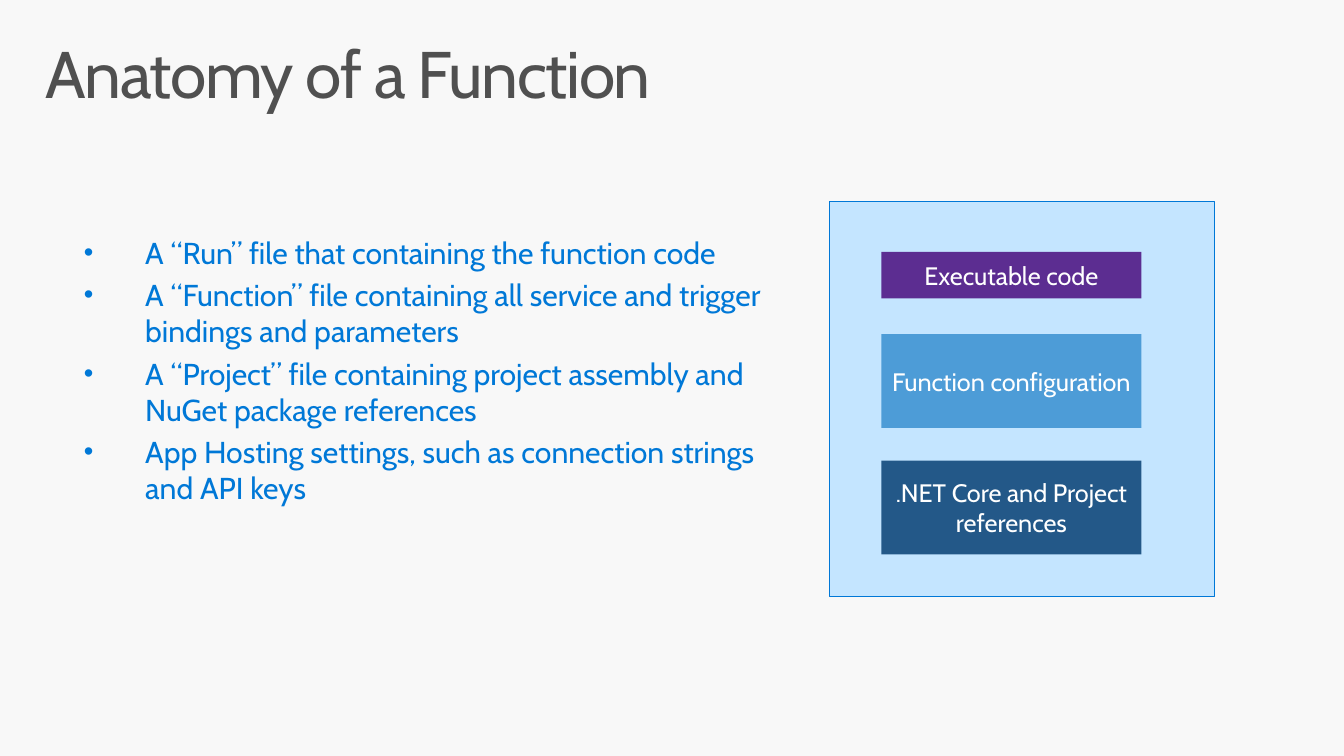
import pptx
import pptx.dml.color
import pptx.enum.shapes
import pptx.enum.text
import pptx.oxml.ns
import pptx.util
from lxml import etree

Inches = pptx.util.Inches
Pt = pptx.util.Pt
Align = pptx.enum.text.PP_ALIGN
Anchor = pptx.enum.text.MSO_ANCHOR


def color(hex_string):
    return pptx.dml.color.RGBColor.from_string(hex_string)


def add_bullet(paragraph, indent, hanging, size_percent):
    properties = paragraph._p.get_or_add_pPr()
    properties.set("marL", str(Inches(indent)))
    properties.set("indent", str(-Inches(hanging)))
    for tag, name, value in (("a:buSzPct", "val", str(size_percent * 1000)),
                             ("a:buChar", "char", "•")):
        element = etree.SubElement(properties, pptx.oxml.ns.qn(tag))
        element.set(name, value)


def write(paragraph, text, *, font, size, fill, align=Align.LEFT,
          line_spacing=1.0, space_before=0, tracking=None, bullet=None):
    if bullet:
        add_bullet(paragraph, *bullet)
    paragraph.alignment = align
    paragraph.line_spacing = line_spacing
    paragraph.space_before = Pt(space_before)
    run = paragraph.add_run()
    run.text = text
    run.font.name = font
    run.font.size = Pt(size)
    run.font.color.rgb = color(fill)
    if tracking is not None:
        run._r.get_or_add_rPr().set("spc", str(int(tracking * 100)))


class SlideBuilder:
    font = "Cabin"
    title_color = "505050"
    accent = "0078D7"
    box_text = "FFFFFF"

    def __init__(self, slide, background):
        self.slide = slide
        slide.background.fill.solid()
        slide.background.fill.fore_color.rgb = color(background)

    def place(self, shape, left, top, width, height):
        shape.left, shape.top = Inches(left), Inches(top)
        shape.width, shape.height = Inches(width), Inches(height)
        frame = shape.text_frame
        frame.word_wrap = True
        frame.auto_size = pptx.enum.text.MSO_AUTO_SIZE.NONE
        frame.vertical_anchor = Anchor.TOP
        frame.margin_left = frame.margin_right = Inches(0.16)
        frame.margin_top = frame.margin_bottom = Inches(0.1)
        return frame

    def title(self, text, *bounds):
        frame = self.place(self.slide.shapes.title, *bounds)
        write(frame.paragraphs[0], text, font=self.font, size=48,
              fill=self.title_color, line_spacing=0.9, tracking=-1)

    def bullets(self, items, *bounds):
        frame = self.place(self.slide.placeholders[1], *bounds)
        for index, item in enumerate(items):
            paragraph = frame.add_paragraph() if index else frame.paragraphs[0]
            write(paragraph, item, font=self.font, size=22, fill=self.accent,
                  space_before=4.4 if index else 0, bullet=(1.01, 0.62, 90))

    def rectangle(self, left, top, width, height, fill, line=None, text=None):
        shape = self.slide.shapes.add_shape(
            pptx.enum.shapes.MSO_SHAPE.RECTANGLE,
            Inches(left), Inches(top), Inches(width), Inches(height))
        shape.shadow.inherit = False
        shape.fill.solid()
        shape.fill.fore_color.rgb = color(fill)
        if line:
            shape.line.color.rgb = color(line)
            shape.line.width = Pt(0.85)
        else:
            shape.line.fill.background()
        if text:
            frame = shape.text_frame
            frame.word_wrap = True
            frame.vertical_anchor = Anchor.MIDDLE
            frame.margin_left = frame.margin_right = Inches(0.05)
            write(frame.paragraphs[0], text, font=self.font, size=18.4,
                  fill=self.box_text, align=Align.CENTER)


def main():
    presentation = pptx.Presentation()
    presentation.slide_width = Inches(13.6)
    presentation.slide_height = Inches(7.65)
    slide = presentation.slides.add_slide(presentation.slide_layouts[1])
    builder = SlideBuilder(slide, "F8F8F8")

    # Title and list
    builder.title("Anatomy of a Function", 0.3, 0.32, 6.5, 1)
    builder.bullets([
        "A “Run” file that containing the function code",
        "A “Function” file containing all service and trigger bindings and parameters",
        "A “Project” file containing project assembly and NuGet package references",
        "App Hosting settings, such as connection strings and API keys",
    ], 0.3, 2.27, 7.83, 3.77)

    # Function panel with its layers
    builder.rectangle(8.39, 2.04, 3.9, 4, "C4E5FF", line=builder.accent)
    for text, top, height, fill in (
            ("Executable code", 2.55, 0.47, "5C2D91"),
            ("Function configuration", 3.38, 0.95, "4D9CD7"),
            (".NET Core and Project references", 4.66, 0.95, "235888")):
        builder.rectangle(8.92, top, 2.63, height, fill, text=text)

    presentation.save("out.pptx")


if __name__ == "__main__":
    main()
